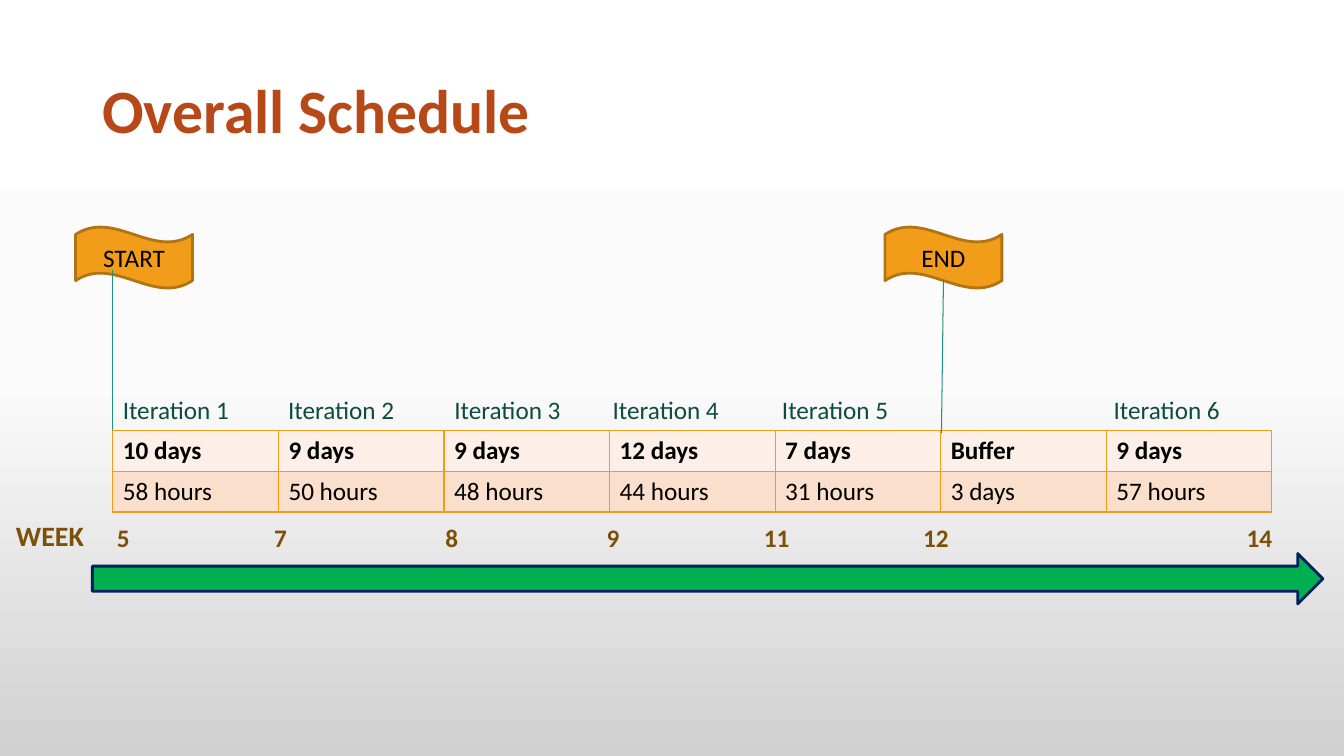
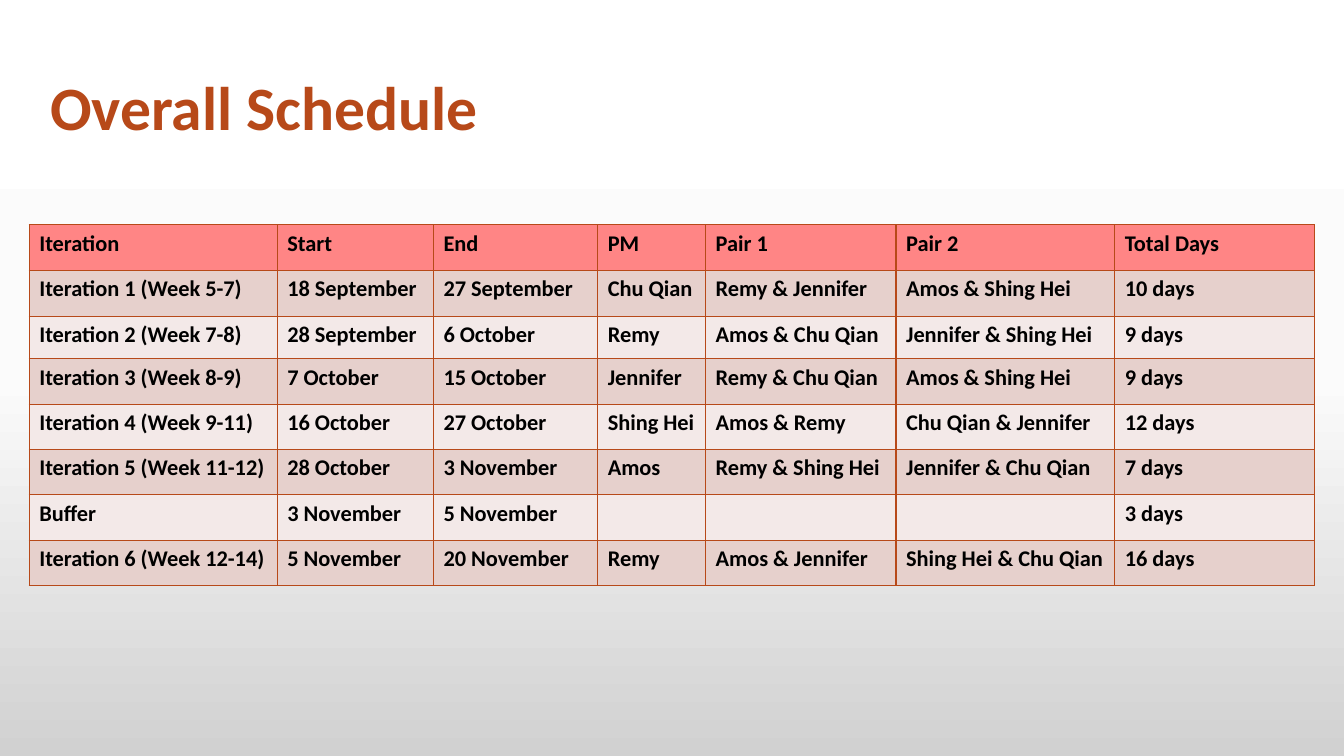
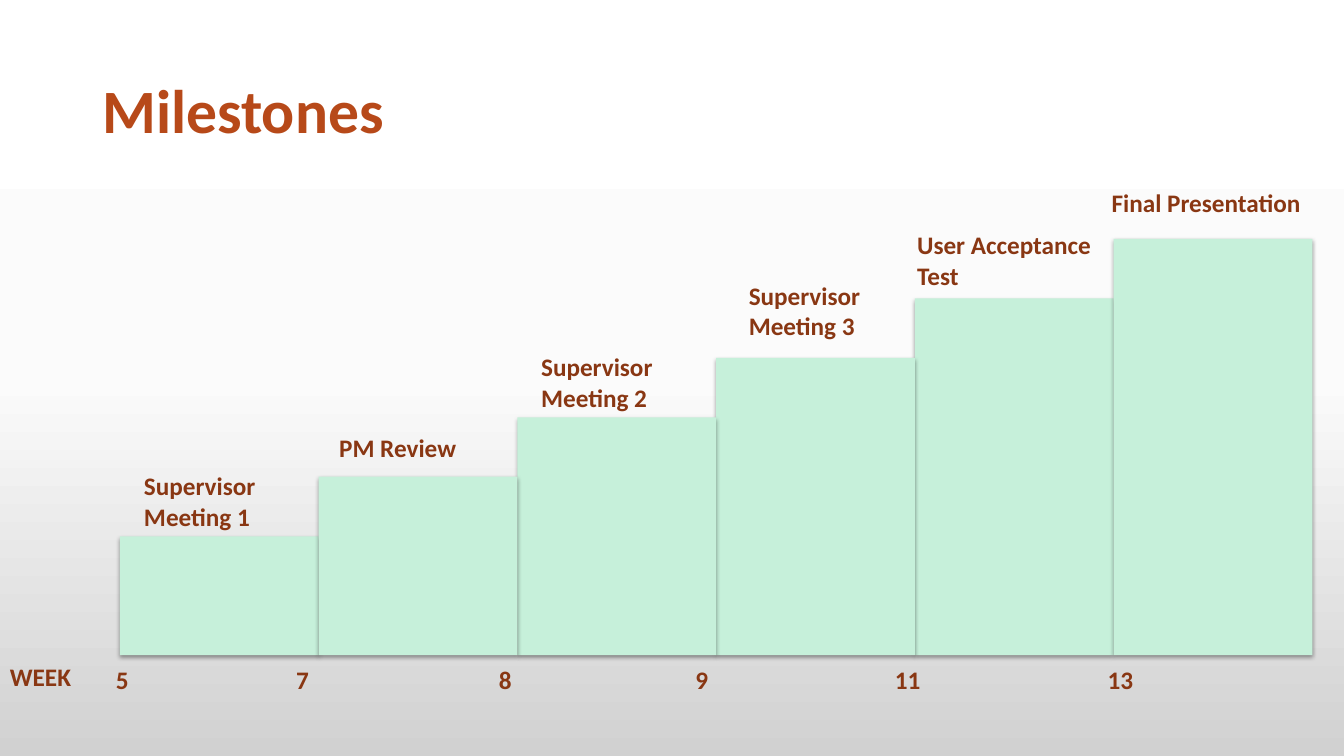
from copy import deepcopy
from dataclasses import dataclass
from typing import Optional, Sequence

from lxml.etree import SubElement
from pptx import Presentation
from pptx.dml.color import RGBColor
from pptx.enum.shapes import MSO_CONNECTOR, MSO_SHAPE
from pptx.enum.text import MSO_ANCHOR, MSO_AUTO_SIZE, PP_ALIGN
from pptx.oxml.ns import qn
from pptx.util import Emu, Inches, Pt

COLUMNS, ROWS = 80, 45
CELL = Inches(1) / 6


@dataclass(frozen=True)
class Theme:
    """Colours, font and type sizes of the deck."""
    font: str = "Calibri"
    title_size: int = 44
    week_size: int = 20
    body_size: int = 18
    table_size: int = 16
    title: str = "B74919"
    outline: str = "FFFFFF"
    text: str = "000000"
    iteration: str = "0E4D3C"
    week: str = "7D5008"
    milestone: str = "893713"
    flag: str = "F19D19"
    flag_edge: str = "B27412"
    pole: str = "199A77"
    arrow: str = "00B050"
    arrow_edge: str = "002060"
    step: str = "C6F0DA"
    shadow: str = "000000"
    days_row: str = "FCEFE8"
    hours_row: str = "FADFCC"
    header_row: str = "FF8585"
    odd_row: str = "E6D0CC"
    even_row: str = "F3E9E8"
    background: tuple = ((0, "FFFFFF"), (0.5, "FBFBFB"), (1, "D1D1D1"))


THEME = Theme()


@dataclass(frozen=True)
class Area:
    """A rectangle in grid columns and rows."""
    left: float
    top: float
    width: float
    height: float

    def lengths(self) -> tuple:
        """Return the rectangle as slide lengths."""
        return tuple(map(grid, (self.left, self.top, self.width, self.height)))


@dataclass(frozen=True)
class Label:
    """Lines of text and the area that holds them."""
    lines: tuple
    area: Area
    align: PP_ALIGN = PP_ALIGN.LEFT
    wrap: bool = True


@dataclass(frozen=True)
class Flag:
    """A waving flag and the two ends of its pole."""
    name: str
    left: float
    pole_start: tuple
    pole_end: tuple


@dataclass(frozen=True)
class Milestone:
    """A stair step, its label and the column of its week number."""
    step: int
    label: Label
    week: str
    week_left: float


def grid(cells: float) -> Emu:
    """Turn a count of grid cells into a length."""
    return Emu(round(cells * CELL))


def rgb(color: str) -> RGBColor:
    """Turn a hexadecimal colour into a colour object."""
    return RGBColor.from_string(color)


def add_color(parent, color: str):
    """Append a plain colour element and return it."""
    return SubElement(parent, qn("a:srgbClr"), val=color)


def make_line(parent, tag: str, color: str, points: float):
    """Append a solid line element and return it."""
    line = SubElement(parent, qn(tag), w=str(Pt(points)))
    add_color(SubElement(line, qn("a:solidFill")), color)
    return line


def write(frame, lines: Sequence[str], *, size: float = THEME.body_size,
          color: str = THEME.text, bold: bool = False,
          align: PP_ALIGN = PP_ALIGN.LEFT, spacing: Optional[float] = None,
          outline: Optional[str] = None) -> None:
    """Write one paragraph for each line in the given format."""
    for index, line in enumerate(lines):
        para = frame.add_paragraph() if index else frame.paragraphs[0]
        para.alignment = align
        para.line_spacing = spacing
        span = para.add_run()
        span.text = line
        span.font.name = THEME.font
        span.font.size = Pt(size)
        span.font.bold = bold
        span.font.color.rgb = rgb(color)
        if outline:
            properties = span.font._element
            properties.insert(0, make_line(properties, "a:ln", outline, 0.75))


def add_label(page, label: Label, **text_format) -> None:
    """Add a text box that grows with its text."""
    box = page.shapes.add_textbox(*label.area.lengths())
    box.text_frame.word_wrap = label.wrap
    box.text_frame.auto_size = MSO_AUTO_SIZE.SHAPE_TO_FIT_TEXT
    write(box.text_frame, label.lines, align=label.align, **text_format)


def add_title(page, text: str, left: float = 5.5, top: float = 2.4) -> None:
    """Add the slide title."""
    box = page.shapes.add_textbox(*Area(left, top, 69, 8.7).lengths())
    box.text_frame.word_wrap = True
    box.text_frame.vertical_anchor = MSO_ANCHOR.MIDDLE
    write(box.text_frame, [text], size=THEME.title_size, color=THEME.title,
          bold=True, spacing=0.9, outline=THEME.outline)


def add_block(page, kind: MSO_SHAPE, area: Area, fill: str, edge: Optional[str] = None):
    """Add a filled preset shape without a shadow."""
    block = page.shapes.add_shape(kind, *area.lengths())
    block.shadow.inherit = False
    block.fill.solid()
    block.fill.fore_color.rgb = rgb(fill)
    if edge:
        block.line.color.rgb = rgb(edge)
        block.line.width = Pt(2)
    else:
        block.line.fill.background()
    return block


def add_flag(page, flag: Flag) -> None:
    """Add a flag and its pole."""
    cloth = add_block(page, MSO_SHAPE.WAVE, Area(flag.left, 13.5, 6.96, 3.66),
                      THEME.flag, THEME.flag_edge)
    cloth.text_frame.vertical_anchor = MSO_ANCHOR.MIDDLE
    write(cloth.text_frame, [flag.name], align=PP_ALIGN.CENTER)
    ends = map(grid, flag.pole_start + flag.pole_end)
    pole = page.shapes.add_connector(MSO_CONNECTOR.STRAIGHT, *ends)
    pole.line.color.rgb = rgb(THEME.pole)
    pole.line.width = Pt(0.75)
    SubElement(pole._element.spPr, qn("a:effectLst"))


def add_step(page, step: int) -> None:
    """Add one stair step with a soft shadow below it."""
    width, base, rise = 11.83, 39, 3.54
    height = rise * (step + 2)
    block = add_block(page, MSO_SHAPE.RECTANGLE,
                      Area(7.14 + step * width, base - height, width, height), THEME.step)
    effects = block._element.spPr.find(qn("a:effectLst"))
    shadow = SubElement(effects, qn("a:outerShdw"), blurRad="40000", dist="20000",
                        dir="5400000", rotWithShape="0")
    SubElement(add_color(shadow, THEME.shadow), qn("a:alpha"), val="38000")


def add_grid_table(page, left: float, top: float, widths: Sequence[float],
                   heights: Sequence[float], rows: Sequence[Sequence[str]],
                   fills: Sequence[str], bolds: Sequence[bool],
                   border: str, size: float) -> None:
    """Add a table with one fill and weight per row and thin borders."""
    area = Area(left, top, sum(widths), sum(heights))
    table = page.shapes.add_table(len(rows), len(widths), *area.lengths()).table
    table.first_row = table.horz_banding = False
    for column, width in zip(table.columns, widths):
        column.width = grid(width)
    for row, height, texts, fill, bold in zip(table.rows, heights, rows, fills, bolds):
        row.height = grid(height)
        for cell, text in zip(row.cells, texts):
            properties = cell._tc.get_or_add_tcPr()
            for side in "LRTB":
                make_line(properties, f"a:ln{side}", border, 1)
            cell.fill.solid()
            cell.fill.fore_color.rgb = rgb(fill)
            if text:
                write(cell.text_frame, [text], size=size, bold=bold)


def add_weeks(page, weeks: Sequence[tuple], top: float, color: str) -> None:
    """Add a row of week numbers, each at its own column."""
    for week, left in weeks:
        add_label(page, Label((week,), Area(left, top, 3.2, 2.4)), color=color, bold=True)


def set_background(master) -> None:
    """Give every slide the vertical gradient."""
    fill = master.background.fill
    fill.gradient()
    fill.gradient_angle = 270
    stop_list = master.element.find(".//" + qn("a:gsLst"))
    stop_list.insert(1, deepcopy(stop_list[0]))
    for stop, (position, color) in zip(fill.gradient_stops, THEME.background):
        stop.position = position
        stop.color.rgb = rgb(color)


ITERATIONS = (("Iteration 1", 6.72), ("Iteration 2", 16.56), ("Iteration 3", 26.46),
              ("Iteration 4", 35.88), ("Iteration 5", 45.96), ("Iteration 6", 65.7))
TIMELINE_WEEKS = (("5", 6.36), ("7", 15.72), ("8", 25.92), ("9", 35.52),
                  ("11", 44.88), ("12", 54.36), ("14", 73.62))
EFFORT = (
    ("10 days", "9 days", "9 days", "12 days", "7 days", "Buffer", "9 days"),
    ("58 hours", "50 hours", "48 hours", "44 hours", "31 hours", "3 days", "57 hours"),
)
FLAGS = (Flag("START", 4.5, (6.72, 16.08), (6.72, 25.62)),
         Flag("END", 52.68, (56.16, 16.68), (56.04, 25.8)))
ASSIGNMENTS = (
    ("Iteration", "Start", "End", "PM", "Pair 1", "Pair 2", "Total Days"),
    ("Iteration 1 (Week 5-7)", "18 September", "27 September", "Chu Qian",
     "Remy & Jennifer", "Amos & Shing Hei", "10 days"),
    ("Iteration 2 (Week 7-8)", "28 September", "6 October", "Remy",
     "Amos & Chu Qian", "Jennifer & Shing Hei", "9 days"),
    ("Iteration 3 (Week 8-9)", "7 October", "15 October", "Jennifer",
     "Remy & Chu Qian", "Amos & Shing Hei", "9 days"),
    ("Iteration 4 (Week 9-11)", "16 October", "27 October", "Shing Hei",
     "Amos & Remy", "Chu Qian & Jennifer", "12 days"),
    ("Iteration 5 (Week 11-12)", "28 October", "3 November", "Amos",
     "Remy & Shing Hei", "Jennifer & Chu Qian", "7 days"),
    ("Buffer", "3 November", "5 November", "", "", "", "3 days"),
    ("Iteration 6 (Week 12-14)", "5 November", "20 November", "Remy",
     "Amos & Jennifer", "Shing Hei & Chu Qian", "16 days"),
)
MILESTONES = (
    Milestone(4, Label(("User Acceptance Test",), Area(54, 13.38, 13.02, 4.26)), "11", 52.68),
    Milestone(3, Label(("Supervisor", "Meeting 3"), Area(43.98, 16.38, 10.92, 4.26)), "9", 40.8),
    Milestone(2, Label(("Supervisor", "Meeting 2"), Area(31.62, 20.64, 10.92, 4.26)), "8", 29.1),
    Milestone(0, Label(("Supervisor", "Meeting 1"), Area(7.98, 27.72, 10.74, 4.26)), "5", 6.3),
    Milestone(1, Label(("PM Review",), Area(19.56, 25.44, 8.22, 2.4),
                       PP_ALIGN.CENTER, wrap=False), "7", 17.04),
    Milestone(5, Label(("Final Presentation",), Area(65.58, 10.86, 13.02, 2.4)), "13", 65.34),
)


def build_timeline(page) -> None:
    """Build the schedule as a timeline."""
    add_title(page, "Overall Schedule")
    add_grid_table(page, 6.72, 25.62, [69 / 7] * 7, [2.43] * 2, EFFORT,
                   (THEME.days_row, THEME.hours_row), (True, False),
                   THEME.flag, THEME.body_size)
    add_block(page, MSO_SHAPE.RIGHT_ARROW, Area(5.5, 32.95, 73.25, 3),
              THEME.arrow, THEME.arrow_edge)
    for flag in FLAGS:
        add_flag(page, flag)
    for name, left in ITERATIONS:
        add_label(page, Label((name,), Area(left, 23.16, 9, 2.4)), color=THEME.iteration)
    add_label(page, Label(("WEEK",), Area(0.36, 30.54, 5.82, 2.64)),
              size=THEME.week_size, color=THEME.week, bold=True)
    add_weeks(page, TIMELINE_WEEKS, 30.78, THEME.week)


def build_assignments(page) -> None:
    """Build the table of dates and people."""
    add_title(page, "Overall Schedule", 2.4, 2.22)
    bands = [THEME.even_row, THEME.odd_row]
    fills = [THEME.header_row] + [bands[row % 2] for row in range(1, len(ASSIGNMENTS))]
    add_grid_table(page, 1.74, 13.38, (14.76, 9.3, 9.78, 6.42, 11.34, 13.02, 11.88),
                   [2.7, 2.76, 2.52] + [2.7] * 5, ASSIGNMENTS, fills,
                   [True] * len(ASSIGNMENTS), THEME.title, THEME.table_size)


def build_milestones(page) -> None:
    """Build the rising stairs of milestones."""
    for milestone in MILESTONES:
        add_step(page, milestone.step)
    for milestone in MILESTONES:
        add_label(page, milestone.label, color=THEME.milestone, bold=True)
    add_title(page, "Milestones")
    add_label(page, Label(("WEEK",), Area(0, 39.06, 5.82, 2.4)),
              color=THEME.milestone, bold=True)
    weeks = [(milestone.week, milestone.week_left) for milestone in MILESTONES]
    add_weeks(page, weeks, 39.24, THEME.milestone)


def main() -> None:
    """Build and save the deck."""
    deck = Presentation()
    deck.slide_width, deck.slide_height = grid(COLUMNS), grid(ROWS)
    set_background(deck.slide_master)
    blank = deck.slide_layouts[6]
    for build in (build_timeline, build_assignments, build_milestones):
        build(deck.slides.add_slide(blank))
    deck.save("out.pptx")


main()
